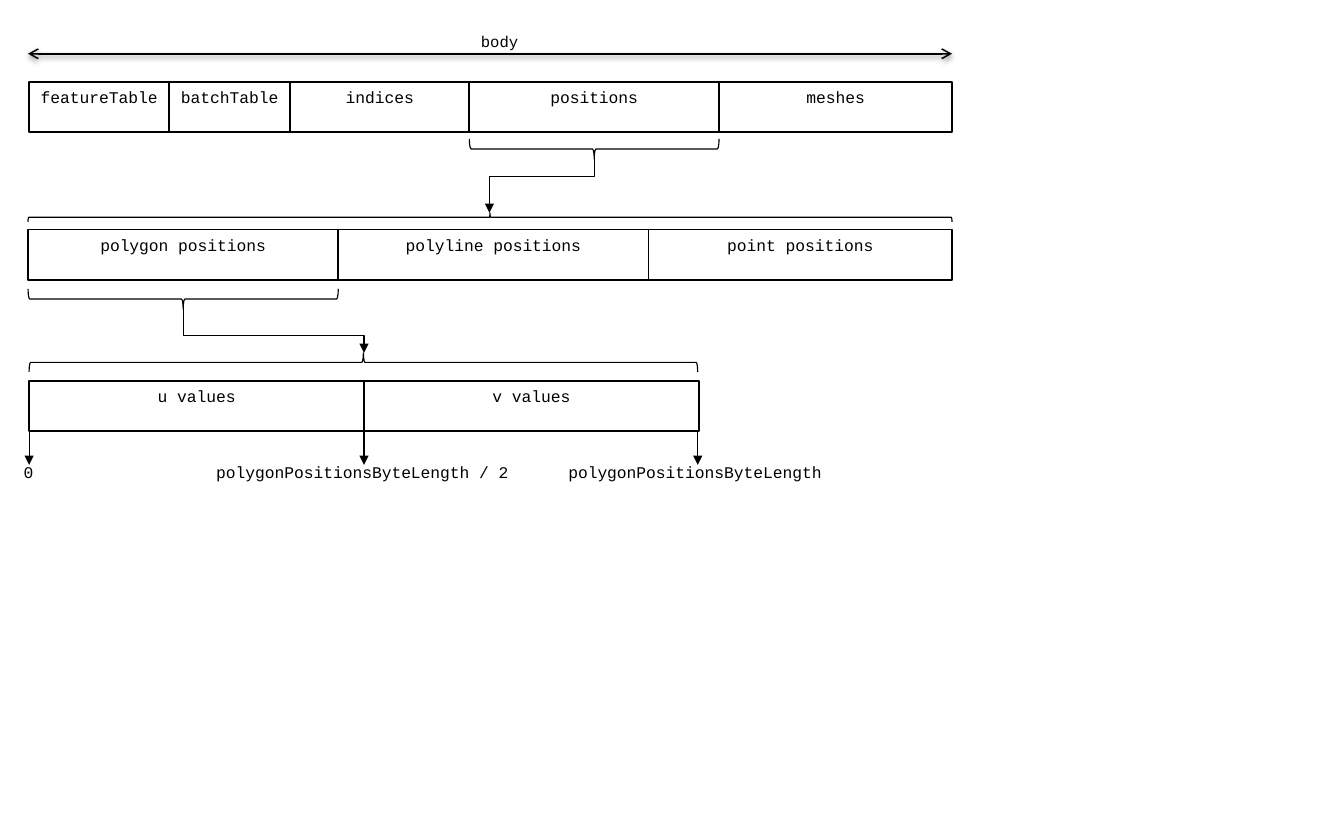
from pptx import Presentation
from pptx.dml.color import RGBColor
from pptx.enum.shapes import MSO_CONNECTOR as CONN, MSO_SHAPE as SHAPE
from pptx.enum.text import MSO_ANCHOR as ANCHOR, PP_ALIGN as ALIGN
from pptx.oxml import parse_xml
from pptx.oxml.ns import nsdecls, qn
from pptx.util import Inches, Pt

INK = "000000"
FONT = "Courier New"
CELL_H = 0.45

# Each row: top, cell edges, cell names
ROWS = [
    (0.73, [0.26, 1.51, 2.59, 4.19, 6.42, 8.5],
     ["featureTable", "batchTable", "indices", "positions", "meshes"]),
    (2.05, [0.25, 3.02, 5.79, 8.5],
     ["polygon positions", "polyline positions", "point positions"]),
    (3.4, [0.26, 3.25, 6.24], ["u values", "v values"]),
]
# left, right, top, height, rotation (90 points down, 270 points up)
BRACES = [
    (4.19, 6.42, 1.24, 0.18, 90),
    (0.25, 8.5, 1.9, 0.08, 270),
    (0.25, 3.02, 2.58, 0.18, 90),
    (0.26, 6.23, 3.15, 0.17, 270),
]
# start, end, share of the drop at which the line bends
ELBOWS = [
    ((5.31, 1.42), (4.37, 1.9), 0.33),
    ((1.64, 2.76), (3.25, 3.15), 0.6),
]
# arrow x, label left, label width, label
OFFSETS = [
    (0.26, 0.2, 0.11, "0"),
    (3.25, 1.74, 2.99, "polygonPositionsByteLength / 2"),
    (6.23, 4.71, 2.99, "polygonPositionsByteLength"),
]
SHADOW = (
    '<a:outerShdw blurRad="39370" dist="20320" dir="5400000" rotWithShape="0">'
    f'<a:srgbClr val="{INK}"><a:alpha val="38000"/></a:srgbClr></a:outerShdw>'
)


def color(hex_text):
    return RGBColor.from_string(hex_text)


def set_line(shape, width):
    shape.line.color.rgb = color(INK)
    shape.line.width = Pt(width)


def write(shape, text, size=10.5, anchor=ANCHOR.TOP):
    tf = shape.text_frame
    tf.word_wrap = False
    tf.vertical_anchor = anchor
    p = tf.paragraphs[0]
    p.alignment = ALIGN.CENTER
    r = p.add_run()
    r.text = text
    r.font.name = FONT
    r.font.size = Pt(size)
    r.font.color.rgb = color(INK)


def add_outline(s, kind, x, y, w, h, width):
    sp = s.shapes.add_shape(kind, Inches(x), Inches(y), Inches(w), Inches(h))
    sp.shadow.inherit = False
    sp.fill.background()
    set_line(sp, width)
    return sp


def add_label(s, text, x, y, w, h, **fmt):
    box = s.shapes.add_textbox(Inches(x), Inches(y), Inches(w), Inches(h))
    write(box, text, **fmt)


def add_brace(s, left, right, top, height, rotation):
    """Lay a brace on its side so that it spans left to right."""
    span = right - left
    sp = add_outline(s, SHAPE.RIGHT_BRACE, (left + right - height) / 2,
                     top + (height - span) / 2, height, span, 0.75)
    sp.rotation = rotation


def add_line(s, start, end, width=0.75, kind=CONN.STRAIGHT, head=None,
             tail="triangle", effect=""):
    c = s.shapes.add_connector(kind, *(Inches(v) for v in (*start, *end)))
    set_line(c, width)
    sp_pr = c._element.spPr
    ln = sp_pr.find(qn("a:ln"))
    for tag, arrow in (("headEnd", head), ("tailEnd", tail)):
        if arrow:
            ln.append(parse_xml(f'<a:{tag} {nsdecls("a")} type="{arrow}"/>'))
    sp_pr.append(parse_xml(
        f'<a:effectLst {nsdecls("a")}>{effect}</a:effectLst>'))
    return c


def add_elbow(s, start, end, bend):
    """Draw a down-across-down arrow as a turned elbow connector."""
    (x1, y1), (x2, y2) = start, end
    cx, cy = (x1 + x2) / 2, (y1 + y2) / 2
    half_w, half_h = (y2 - y1) / 2, abs(x2 - x1) / 2
    side = 1 if x2 < x1 else -1
    c = add_line(s, (cx - side * half_w, cy - half_h),
                 (cx + side * half_w, cy + half_h), kind=CONN.ELBOW)
    sp_pr = c._element.spPr
    sp_pr.find(qn("a:xfrm")).set("rot", str((90 if side > 0 else 270) * 60000))
    sp_pr.find(qn("a:prstGeom")).find(qn("a:avLst")).append(parse_xml(
        f'<a:gd {nsdecls("a")} name="adj1" fmla="val {round(bend * 100000)}"/>'))


def main():
    prs = Presentation()
    prs.slide_width, prs.slide_height = Inches(12), Inches(7.5)
    s = prs.slides.add_slide(prs.slide_layouts[6])

    add_line(s, (0.25, 0.48), (8.5, 0.48), width=1, head="arrow",
             tail="arrow", effect=SHADOW)
    add_label(s, "body", 4.19, 0.23, 0.54, 0.27, size=10, anchor=ANCHOR.MIDDLE)

    for top, edges, names in ROWS:
        for left, right, name in zip(edges, edges[1:], names):
            cell = add_outline(s, SHAPE.RECTANGLE, left, top, right - left,
                               CELL_H, 1)
            write(cell, name)
    for brace in BRACES:
        add_brace(s, *brace)
    for elbow in ELBOWS:
        add_elbow(s, *elbow)
    for x, left, width, text in OFFSETS:
        add_line(s, (x, 3.85), (x, 4.15))
        add_label(s, text, left, 4.08, width, CELL_H)

    prs.save("out.pptx")


if __name__ == "__main__":
    main()
